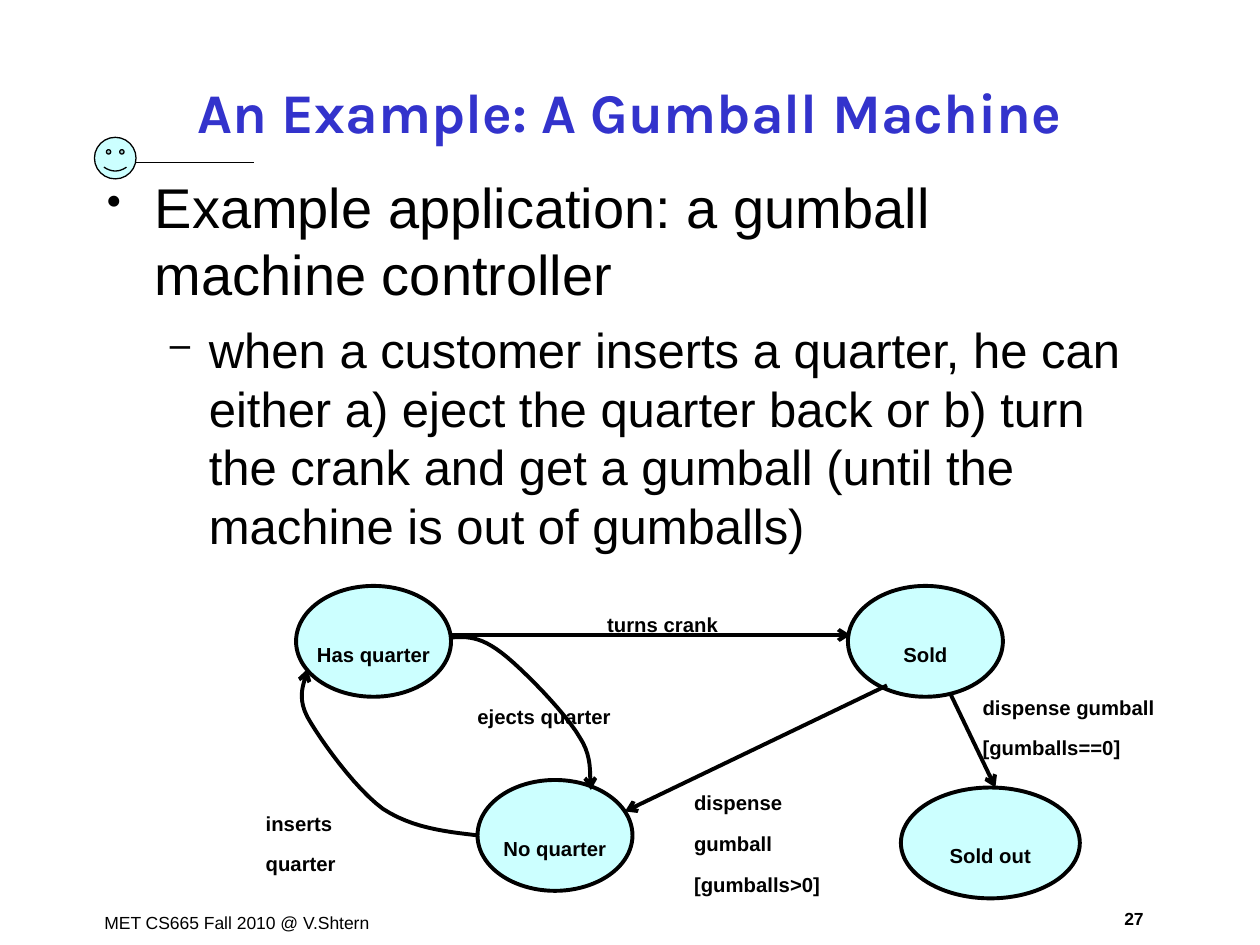
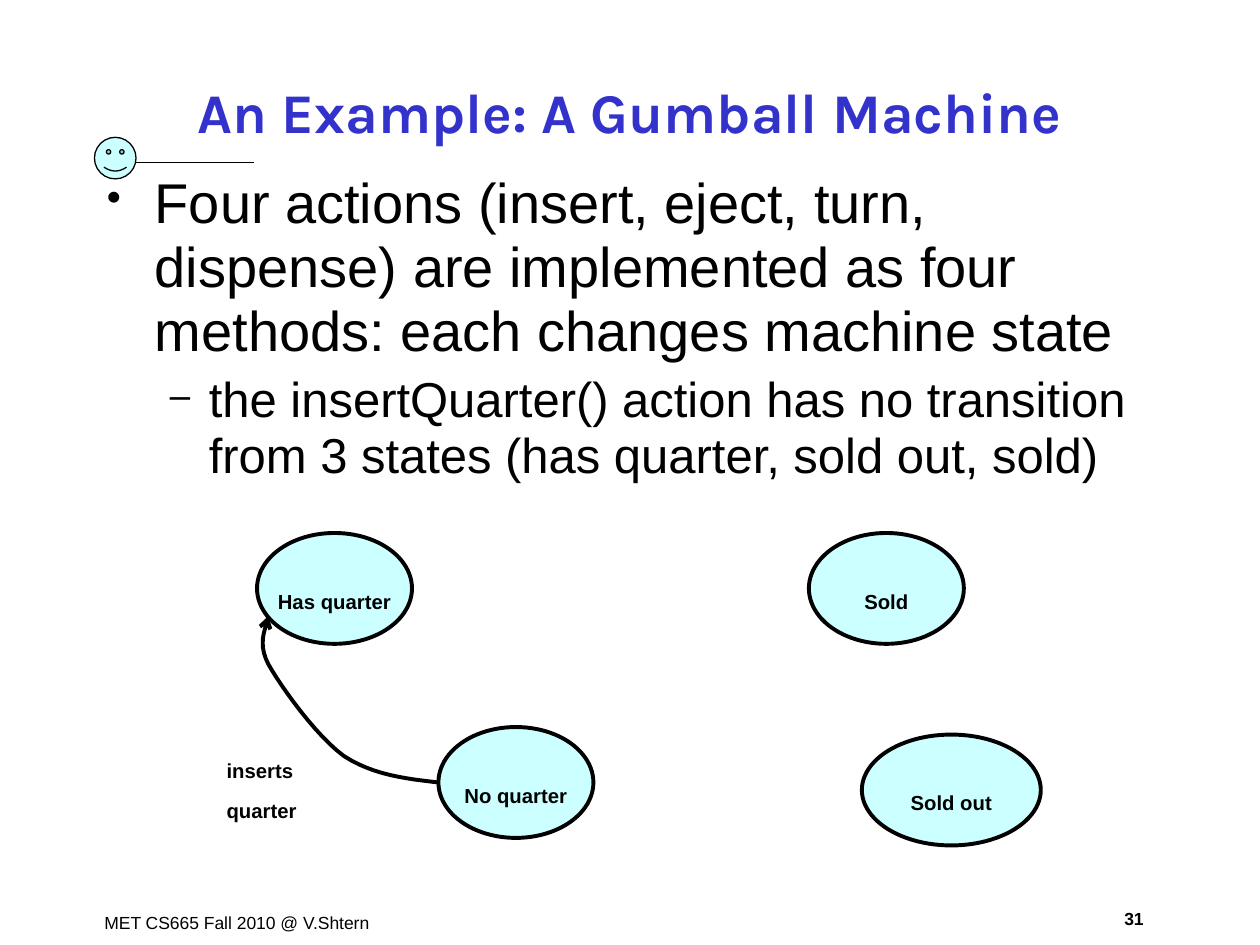
"""Build two slides on the states of a gumball machine."""
import dataclasses

import lxml.etree
import pptx
import pptx.dml.color
import pptx.enum.shapes
import pptx.enum.text
import pptx.oxml.ns
import pptx.util

qn = pptx.oxml.ns.qn
ALIGN = pptx.enum.text.PP_ALIGN
ANCHOR = pptx.enum.text.MSO_ANCHOR
SHAPE = pptx.enum.shapes.MSO_SHAPE
COLS, ROWS = 100, 75


@dataclasses.dataclass(frozen=True)
class Theme:
    ink: str = "000000"
    title: str = "3333CC"
    fill: str = "CCFFFF"
    paper: str = "FFFFFF"
    title_font: str = "Karla"
    font: str = "Arial"
    title_size: int = 32
    body_sizes: tuple = (32, 28)
    label_size: int = 20
    footer_size: int = 10
    thick: float = 2.25


def rgb(value):
    return pptx.dml.color.RGBColor.from_string(value)


def bezier(a, b, c, d, steps=12):
    for i in range(1, steps + 1):
        t = i / steps
        u = 1 - t
        yield tuple(u**3 * m + 3 * u * u * t * n + 3 * u * t * t * o + t**3 * q
                    for m, n, o, q in zip(a, b, c, d))


class Deck:
    def __init__(self, theme):
        self.theme = theme
        self.prs = pptx.Presentation()
        self.prs.slide_width = pptx.util.Inches(10)
        self.prs.slide_height = pptx.util.Inches(7.5)
        self.s = None
        self.origin = (0, 0)

    def point(self, col, row):
        x, y = self.origin
        return (round(self.prs.slide_width * (x + col) / COLS),
                round(self.prs.slide_height * (y + row) / ROWS))

    def box(self, col, row, width, height):
        left, top = self.point(col, row)
        right, bottom = self.point(col + width, row + height)
        return left, top, right - left, bottom - top

    def style(self, p, size, bold=False, color=None, font=None, baseline=None):
        for r in p.runs:
            r.font.size = pptx.util.Pt(size)
            r.font.bold = bold
            r.font.name = font or self.theme.font
            r.font.color.rgb = rgb(color or self.theme.ink)
            if baseline:
                r.font._element.set("baseline", str(baseline))

    def label_style(self, p):
        p.line_spacing = 0.85
        self.style(p, self.theme.label_size, bold=True, baseline=-25000)

    def stroke(self, sp, width, arrow=False):
        sp.line.color.rgb = rgb(self.theme.ink)
        sp.line.width = pptx.util.Pt(width)
        if arrow:
            ln = sp.line._get_or_add_ln()
            lxml.etree.SubElement(ln, qn("a:tailEnd"), type="arrow")

    def new_slide(self, title, number):
        t = self.theme
        self.origin = (0, 0)
        self.s = self.prs.slides.add_slide(self.prs.slide_layouts[5])
        self.s.background.fill.solid()
        self.s.background.fill.fore_color.rgb = rgb(t.paper)
        self.footer("MET CS665 Fall 2010 @ V.Shtern", 7.3, 71.9, 24.1)
        self.footer(str(number), 87.3, 71.6, 5.4, ALIGN.CENTER, True)
        face = self.shape(SHAPE.SMILEY_FACE, (7.5, 10.9, 3.3, 3.3), 0.75)
        face.adjustments[0] = 0.05
        self.line((10.8, 12.9), (20.2, 12.9), 1)
        sp = self.s.shapes.title
        sp.left, sp.top, sp.width, sp.height = self.box(7.5, 4.8, 85, 8)
        sp.text_frame.text = title
        sp.text_frame.vertical_anchor = ANCHOR.MIDDLE
        p = sp.text_frame.paragraphs[0]
        p.alignment = ALIGN.CENTER
        self.style(p, t.title_size, True, t.title, t.title_font)

    def text(self, text, box):
        tf = self.s.shapes.add_textbox(*self.box(*box)).text_frame
        tf.word_wrap = True
        tf.text = text
        return tf

    def footer(self, text, col, row, width, align=ALIGN.LEFT, bold=False):
        p = self.text(text, (col, row, width, 2.7)).paragraphs[0]
        p.alignment = align
        self.style(p, self.theme.footer_size, bold)

    def body(self, point, detail, spacing, gap):
        tf = self.text(f"{point}\n{detail}", (7.5, 13.2, 85, 57.6))
        tf.paragraphs[1].space_before = pptx.util.Pt(gap)
        levels = (("•", 0.38, 0.38), ("–", 0.81, 0.31))
        for p, size, (mark, margin, hang) in zip(tf.paragraphs, self.theme.body_sizes, levels):
            p.line_spacing = spacing
            pPr = p._p.get_or_add_pPr()
            pPr.set("marL", str(pptx.util.Inches(margin)))
            pPr.set("indent", str(-pptx.util.Inches(hang)))
            color = lxml.etree.SubElement(pPr, qn("a:buClr"))
            lxml.etree.SubElement(color, qn("a:srgbClr"), val=self.theme.ink)
            lxml.etree.SubElement(pPr, qn("a:buSzPct"), val="75000")
            lxml.etree.SubElement(pPr, qn("a:buChar"), char=mark)
            self.style(p, size)

    def shape(self, kind, box, width):
        sp = self.s.shapes.add_shape(kind, *self.box(*box))
        sp.shadow.inherit = False
        sp.fill.solid()
        sp.fill.fore_color.rgb = rgb(self.theme.fill)
        self.stroke(sp, width)
        return sp

    def state(self, name, col, row, width=12.3):
        sp = self.shape(SHAPE.OVAL, (col, row, width, 8.8), self.theme.thick)
        tf = sp.text_frame
        tf.text = name
        tf.word_wrap = False
        tf.vertical_anchor = ANCHOR.MIDDLE
        p = tf.paragraphs[0]
        p.alignment = ALIGN.CENTER
        self.label_style(p)

    def label(self, text, col, row, width=12.8, height=4.3):
        for p in self.text(text, (col, row, width, height)).paragraphs:
            self.label_style(p)

    def line(self, start, end, width, arrow=False):
        kind = pptx.enum.shapes.MSO_CONNECTOR.STRAIGHT
        sp = self.s.shapes.add_connector(kind, *self.point(*start), *self.point(*end))
        self.stroke(sp, width, arrow)
        lxml.etree.SubElement(sp._element.spPr, qn("a:effectLst"))

    def arrow(self, start, end):
        self.line(start, end, self.theme.thick, arrow=True)

    def curve(self, *knots):
        points = [self.point(*q) for i in range(0, len(knots) - 1, 3)
                  for q in bezier(*knots[i:i + 4])]
        fb = self.s.shapes.build_freeform(*self.point(*knots[0]))
        fb.add_line_segments(points, close=False)
        sp = fb.convert_to_shape()
        sp.shadow.inherit = False
        sp.fill.background()
        self.stroke(sp, self.theme.thick, arrow=True)


def draw_states(deck, col, row):
    deck.origin = (col, row)
    deck.state("Has quarter", 0, 0)
    deck.state("No quarter", 14.4, 15.4)
    deck.state("Sold", 43.8, 0)
    deck.state("Sold out", 48, 16, 14.2)
    deck.curve((14.4, 19.8), (11.8, 19.5), (9.2, 19.2), (6.9, 17.7),
               (4.7, 16.1), (1.9, 12.2), (0.9, 10.4),
               (-0.1, 8.5), (0.9, 7.3), (0.9, 6.6))
    deck.label("inserts quarter", -3.4, 15.7, height=7.5)


def draw_other_transitions(deck):
    deck.curve((12.3, 4.1), (13.5, 4), (14.6, 4), (16.3, 5.3),
               (18, 6.6), (21.4, 10.1), (22.5, 12),
               (23.7, 13.8), (23.2, 15.5), (23.4, 16.2))
    deck.arrow((12.3, 3.9), (44, 3.9))
    deck.arrow((51.9, 8.5), (55.5, 16))
    deck.arrow((46.9, 7.9), (26.1, 17.9))
    deck.label("ejects quarter", 13.4, 7.2)
    deck.label("turns crank", 23.7, -0.1)
    deck.label("dispense gumball\n[gumballs>0]", 30.6, 14.1, 14.2, 10.7)
    deck.label("dispense gumball\n[gumballs==0]", 53.5, 6.5, 16.4, 7.5)


def main():
    deck = Deck(Theme())
    title = "An Example: A Gumball Machine"
    deck.new_slide(title, 27)
    deck.body("Example application: a gumball machine controller",
              "when a customer inserts a quarter, he can either a) eject the quarter back "
              "or b) turn the crank and get a gumball (until the machine is out of gumballs)",
              1, 7)
    draw_states(deck, 23.5, 46.5)
    draw_other_transitions(deck)
    deck.new_slide(title, 31)
    deck.body("Four actions (insert, eject, turn, dispense) are implemented as four methods: "
              "each changes machine state",
              "the insertQuarter() action has no transition from 3 states "
              "(has quarter, sold out, sold)",
              0.95, 5.2)
    draw_states(deck, 20.4, 42.3)
    deck.prs.save("out.pptx")


if __name__ == "__main__":
    main()
